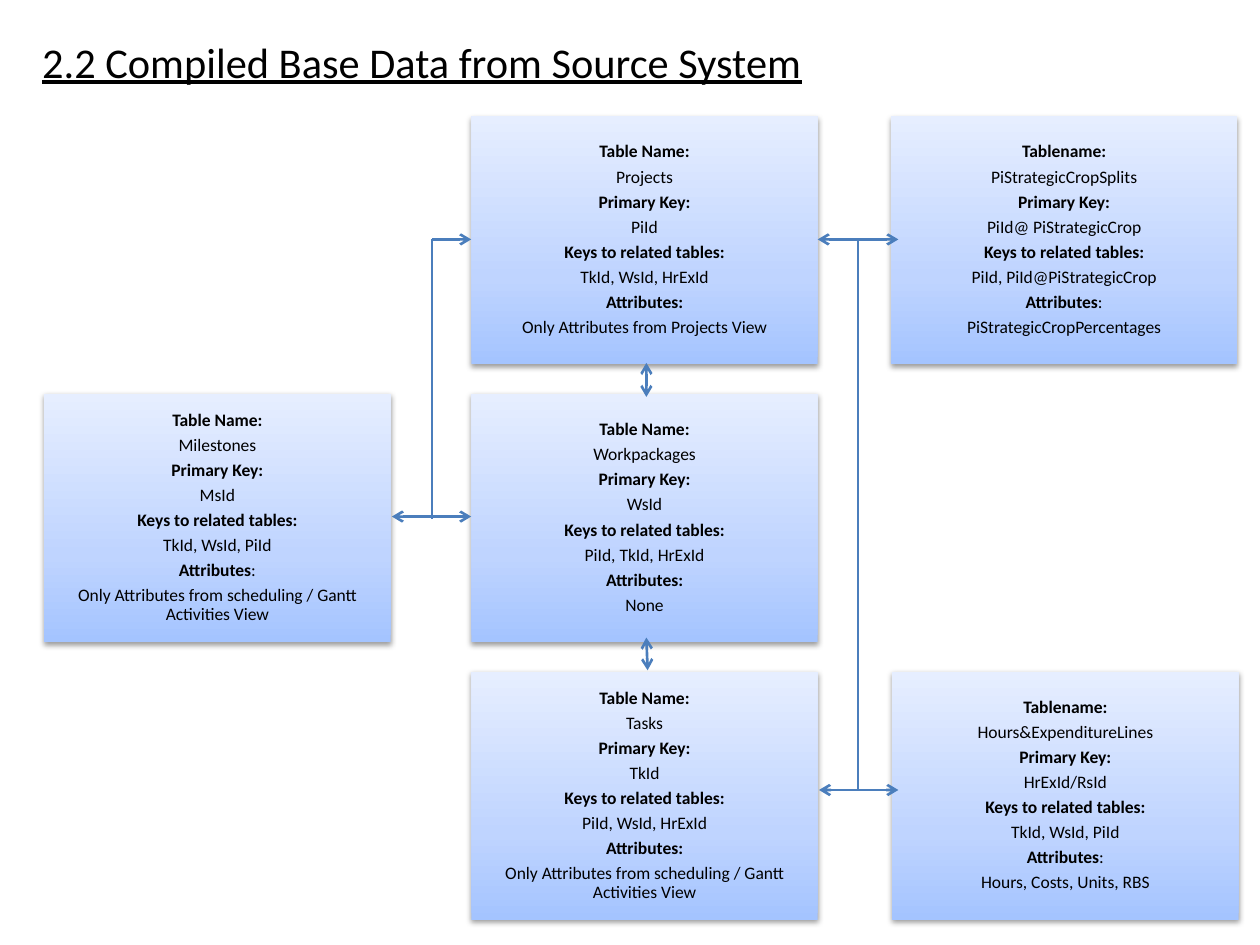
from copy import deepcopy
from pptx import Presentation
from pptx.dml.color import RGBColor
from pptx.enum.shapes import MSO_CONNECTOR, MSO_SHAPE
from pptx.enum.text import MSO_ANCHOR, MSO_AUTO_SIZE, PP_ALIGN
from pptx.oxml import parse_xml
from pptx.oxml.ns import nsdecls, qn
from pptx.util import Inches, Pt

RECT = MSO_SHAPE.RECTANGLE
STRAIGHT = MSO_CONNECTOR.STRAIGHT
MIDDLE = MSO_ANCHOR.MIDDLE
CENTER = PP_ALIGN.CENTER
NO_FIT = MSO_AUTO_SIZE.NONE

COLORS = {
    "text": "000000",
    "line": "4B7EBC",
    "bottom": "A4C4FF",
    "middle": "BFD4FF",
    "top": "E6EEFF",
}
GRADIENT = [(0, "bottom"), (0.35, "middle"), (1, "top")]
FONT = "Calibri"
CARD_W, CARD_H = 2.75, 1.97
LEFT, MID, RIGHT = 0.35, 3.74, 7.07
ROWS = [0.92 + i * 2.205 for i in range(3)]

NAME, NAME_JOINED = "Table Name:", "Tablename:"
ATTRS, ATTRS_PLAIN_COLON = ("Attributes:", ""), ("Attributes", ":")
SCHEDULING = "Only Attributes from scheduling / Gantt Activities View"

CARDS = [
    (MID, ROWS[0], NAME, ATTRS,
     ["Projects", "PiId", "TkId, WsId, HrExId", "Only Attributes from Projects View"]),
    (RIGHT, ROWS[0], NAME_JOINED, ATTRS_PLAIN_COLON,
     ["PiStrategicCropSplits", "PiId@ PiStrategicCrop",
      "PiId, PiId@PiStrategicCrop", "PiStrategicCropPercentages"]),
    (RIGHT + 0.01, ROWS[2], NAME_JOINED, ATTRS_PLAIN_COLON,
     ["Hours&ExpenditureLines", "HrExId/RsId", "TkId, WsId, PiId",
      "Hours, Costs, Units, RBS"]),
    (MID, ROWS[2], NAME, ATTRS,
     ["Tasks", "TkId", "PiId, WsId, HrExId", SCHEDULING]),
    (LEFT, ROWS[1], NAME, ATTRS_PLAIN_COLON,
     ["Milestones", "MsId", "TkId, WsId, PiId", SCHEDULING]),
    (MID, ROWS[1], NAME, ATTRS,
     ["Workpackages", "WsId", "PiId, TkId, HrExId", "None"]),
]

BOTH, END, PLAIN = ("headEnd", "tailEnd"), ("tailEnd",), ()
LINKS = [
    (3.11, 4.1, 3.74, 4.1, BOTH),
    (6.49, 1.9, 7.13, 1.9, BOTH),
    (5.13, 2.88, 5.13, 3.15, BOTH),
    (5.13, 5.06, 5.14, 5.32, BOTH),
    (6.5, 6.27, 7.13, 6.27, BOTH),
    (3.43, 1.9, 3.74, 1.9, END),
    (3.43, 1.9, 3.43, 4.12, PLAIN),
    (6.81, 1.9, 6.81, 6.27, PLAIN),
]


def rgb(name):
    return RGBColor.from_string(COLORS[name])


def add_run(p, text, **formats):
    r = p.add_run()
    r.text = text
    r.font.color.rgb = rgb("text")
    for key, value in {"name": FONT, **formats}.items():
        setattr(r.font, key, value)


def add_title(s, x, y, w, h):
    sp = s.shapes.title
    for key, value in zip(("left", "top", "width", "height"), (x, y, w, h)):
        setattr(sp, key, Inches(value))
    tf = sp.text_frame
    tf.auto_size = NO_FIT
    tf.vertical_anchor = MIDDLE
    p = tf.paragraphs[0]
    p.alignment = CENTER
    add_run(p, "2.2 Compiled Base Data from Source System",
            size=Pt(24.2), underline=True)


def style_card(sp):
    sp.line.fill.background()
    sp.fill.gradient()
    sp.fill.gradient_angle = 90
    stops = sp.element.spPr.find(".//" + qn("a:gsLst"))
    stops.append(deepcopy(stops[0]))
    for stop, (position, color) in zip(sp.fill.gradient_stops, GRADIENT):
        stop.position = position
        stop.color.rgb = rgb(color)
    sp.element.spPr.append(parse_xml(
        f'<a:effectLst {nsdecls("a")}>'
        '<a:outerShdw blurRad="40000" dist="20000" dir="5400000" rotWithShape="0">'
        '<a:srgbClr val="000000"><a:alpha val="38000"/></a:srgbClr>'
        '</a:outerShdw></a:effectLst>'))


def add_card(s, x, y, w, h, name_label, attrs_label, values):
    sp = s.shapes.add_shape(RECT, Inches(x), Inches(y), Inches(w), Inches(h))
    style_card(sp)
    tf = sp.text_frame
    tf.word_wrap = True
    tf.vertical_anchor = MIDDLE
    for side in ("left", "top", "right", "bottom"):
        setattr(tf, f"margin_{side}", Inches(0.01))
    labels = [(name_label, ""), ("Primary Key:", ""),
              ("Keys to related tables:", ""), attrs_label]
    lines = []
    for (bold, plain), value in zip(labels, values):
        lines += [(bold, plain), ("", value)]
    for i, line in enumerate(lines):
        p = tf.add_paragraph() if i else tf.paragraphs[0]
        for key, value in {"alignment": CENTER, "line_spacing": 0.9,
                           "space_after": Pt(3.5)}.items():
            setattr(p, key, value)
        for text, bold in zip(line, (True, False)):
            if text:
                add_run(p, text, size=Pt(10), bold=bold)


def add_link(s, x1, y1, x2, y2, ends):
    c = s.shapes.add_connector(STRAIGHT, Inches(x1), Inches(y1), Inches(x2), Inches(y2))
    c.line.color.rgb = rgb("line")
    c.line.width = Pt(1.5)
    ln = c.line._get_or_add_ln()
    for end in ends:
        ln.append(parse_xml(f'<a:{end} {nsdecls("a")} type="arrow"/>'))
    c._element.spPr.append(parse_xml(f'<a:effectLst {nsdecls("a")}/>'))


def main():
    prs = Presentation()
    prs.slide_width, prs.slide_height = Inches(10), Inches(7.5)
    s = prs.slides.add_slide(prs.slide_layouts[5])
    add_title(s, 0.12, 0.13, 6.46, 0.71)
    for x, y, *content in CARDS:
        add_card(s, x, y, CARD_W, CARD_H, *content)
    for link in LINKS:
        add_link(s, *link)
    prs.save("out.pptx")


if __name__ == "__main__":
    main()
